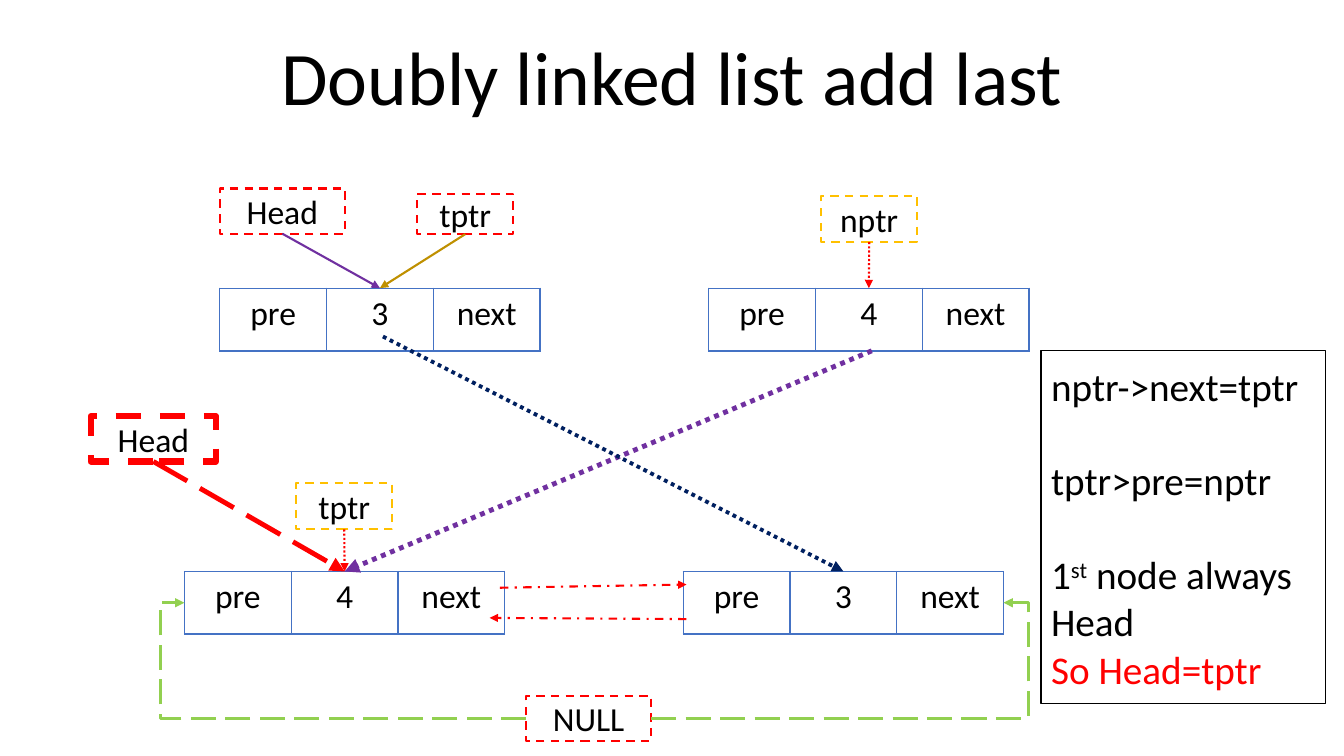
import pptx
import pptx.util
import pptx.dml.color
import pptx.enum.dml
import pptx.enum.shapes
import pptx.enum.text
import pptx.oxml.ns
import lxml.etree

Cm = pptx.util.Cm
Pt = pptx.util.Pt
DASH = pptx.enum.dml.MSO_LINE
ALIGN = pptx.enum.text.PP_ALIGN
ANCHOR = pptx.enum.text.MSO_ANCHOR
CONNECTOR = pptx.enum.shapes.MSO_CONNECTOR
RECTANGLE = pptx.enum.shapes.MSO_SHAPE.RECTANGLE

BLACK, WHITE, RED, GOLD = "000000", "FFFFFF", "FF0000", "FFC000"
PURPLE, BROWN, NAVY, GREEN, BLUE = "7030A0", "BF9000", "002060", "92D050", "4472C4"


def paint(color_format, value):
    color_format.rgb = pptx.dml.color.RGBColor.from_string(value)


def add_xml(parent, tag, **attributes):
    return lxml.etree.SubElement(parent, pptx.oxml.ns.qn(tag), attributes)


def spot(x, y):
    return Cm(x), Cm(y)


def on(element, x, y):
    return (int(element.left + element.width * x), int(element.top + element.height * y))


class ListDiagram:
    font = "Calibri"
    cell_width, cell_height = 2.69, 1.58

    def __init__(self, slide):
        self.slide = slide

    def style_text(self, paragraph, size, align=ALIGN.CENTER, color=BLACK):
        paragraph.alignment = align
        for run in paragraph.runs:
            run.font.name = self.font
            run.font.size = Pt(size)
            paint(run.font.color, color)

    def style_line(self, line, color, width, dash=None):
        paint(line.color, color)
        line.width = Pt(width)
        if dash:
            line.dash_style = dash

    def title(self, text, left, top, width, height):
        heading = self.slide.shapes.title
        heading.left, heading.top = Cm(left), Cm(top)
        heading.width, heading.height = Cm(width), Cm(height)
        frame = heading.text_frame
        frame.text = text
        frame.auto_size = pptx.enum.text.MSO_AUTO_SIZE.NONE
        frame.vertical_anchor = ANCHOR.BOTTOM
        frame.paragraphs[0].line_spacing = 0.9
        self.style_text(frame.paragraphs[0], 54)

    def box(self, left, top, width, height, color, line_width, dash=None):
        frame = self.slide.shapes.add_shape(RECTANGLE, Cm(left), Cm(top), Cm(width), Cm(height))
        frame.shadow.inherit = False
        frame.fill.solid()
        paint(frame.fill.fore_color, WHITE)
        self.style_line(frame.line, color, line_width, dash)
        frame.text_frame.word_wrap = True
        frame.text_frame.vertical_anchor = ANCHOR.MIDDLE
        return frame

    def pointer(self, name, left, top, width, height, color, line_width=1.5):
        label = self.box(left, top, width, height, color, line_width, DASH.DASH)
        label.text_frame.text = name
        self.style_text(label.text_frame.paragraphs[0], 24)
        return label

    def node(self, value, left, top):
        frame = self.slide.shapes.add_table(
            1, 3, Cm(left), Cm(top), Cm(3 * self.cell_width), Cm(self.cell_height))
        table = frame.table
        table.first_row = table.horz_banding = False
        for column, text in enumerate(("pre", value, "next")):
            table.columns[column].width = Cm(self.cell_width)
            cell = table.cell(0, column)
            cell.text_frame.text = text
            self.style_text(cell.text_frame.paragraphs[0], 24)
            properties = cell._tc.get_or_add_tcPr()
            for side, width in (("L", 1), ("R", 1), ("T", 1), ("B", 2)):
                border = add_xml(properties, "a:ln" + side, w=str(Pt(width)))
                add_xml(add_xml(border, "a:solidFill"), "a:srgbClr", val=BLUE)
            cell.fill.solid()
            paint(cell.fill.fore_color, WHITE)
        return frame

    def arrow(self, start, end, color, width=1.5, dash=None, bend=None):
        kind = CONNECTOR.ELBOW if bend else CONNECTOR.STRAIGHT
        link = self.slide.shapes.add_connector(kind, *start, *end)
        self.style_line(link.line, color, width, dash)
        add_xml(link.line._get_or_add_ln(), "a:tailEnd", type="triangle")
        properties = link._element.spPr
        add_xml(properties, "a:effectLst")
        if bend:
            guides = properties.find(pptx.oxml.ns.qn("a:prstGeom")).get_or_add_avLst()
            add_xml(guides, "a:gd", name="adj1", fmla=f"val {round(bend * 100000)}")

    def steps(self, left, top, width, height, lines):
        panel = self.box(left, top, width, height, BLACK, 1)
        frame = panel.text_frame
        frame.text = "\n".join(text for text, gap, color in lines)
        for paragraph, (text, gap, color) in zip(frame.paragraphs, lines):
            paragraph.space_before = Pt(gap)
            self.style_text(paragraph, 28, ALIGN.LEFT, color)
        ordinal = frame.paragraphs[2]
        ordinal.text = ""
        for part in ("1", "st", " node always Head"):
            ordinal.add_run().text = part
        self.style_text(ordinal, 28, ALIGN.LEFT)
        ordinal.runs[1].font._element.set("baseline", "30000")


def main():
    deck = pptx.Presentation()
    deck.slide_width, deck.slide_height = Cm(33.87), Cm(19.05)
    diagram = ListDiagram(deck.slides.add_slide(deck.slide_layouts[5]))
    diagram.title("Doubly linked list add last", 4.24, 0.86, 25.4, 2.34)

    old_first = diagram.node("3", 5.54, 7.26)
    new_node = diagram.node("4", 17.86, 7.26)
    first = diagram.node("4", 4.65, 14.4)
    last = diagram.node("3", 17.22, 14.4)

    old_head = diagram.pointer("Head", 5.54, 4.75, 3.15, 1.14, RED)
    old_tptr = diagram.pointer("tptr", 10.52, 4.88, 2.41, 1.02, RED)
    nptr = diagram.pointer("nptr", 20.7, 4.93, 2.41, 1.17, GOLD)
    tptr = diagram.pointer("tptr", 7.47, 12.17, 2.41, 1.17, GOLD)
    head = diagram.pointer("Head", 2.29, 10.49, 3.15, 1.14, RED, 4.5)
    null = diagram.pointer("NULL", 13.26, 17.53, 3.15, 1.14, RED)

    for label, target, color, width, dash in (
        (old_head, old_first, PURPLE, 1.5, None),
        (old_tptr, old_first, BROWN, 1.5, None),
        (nptr, new_node, RED, 1.5, DASH.ROUND_DOT),
        (tptr, first, RED, 1.5, DASH.ROUND_DOT),
        (head, first, RED, 3.5, DASH.LONG_DASH),
    ):
        diagram.arrow(on(label, 0.5, 1), on(target, 0.5, 0), color, width, dash)

    diagram.arrow(spot(21.97, 8.84), on(first, 0.5, 0), PURPLE, 3.5, DASH.ROUND_DOT)
    diagram.arrow(spot(9.65, 8.48), on(last, 0.5, 0), NAVY, 2.75, DASH.ROUND_DOT)
    diagram.arrow(spot(12.6, 14.81), spot(17.3, 14.73), RED, dash=DASH.DASH_DOT)
    diagram.arrow(spot(17.3, 15.6), spot(12.34, 15.57), RED, dash=DASH.DASH_DOT)
    for side, end in ((0, first), (1, last)):
        diagram.arrow(on(null, side, 0.5), on(end, side, 0.5), GREEN, 2.25,
                      DASH.LONG_DASH, bend=1.07)

    diagram.steps(26.24, 8.84, 7.16, 8.89, (
        ("nptr->next=tptr", 0, BLACK),
        ("tptr>pre=nptr", 33.6, BLACK),
        ("1st node always Head", 33.6, BLACK),
        ("So Head=tptr", 0, RED),
    ))
    deck.save("out.pptx")


if __name__ == "__main__":
    main()
